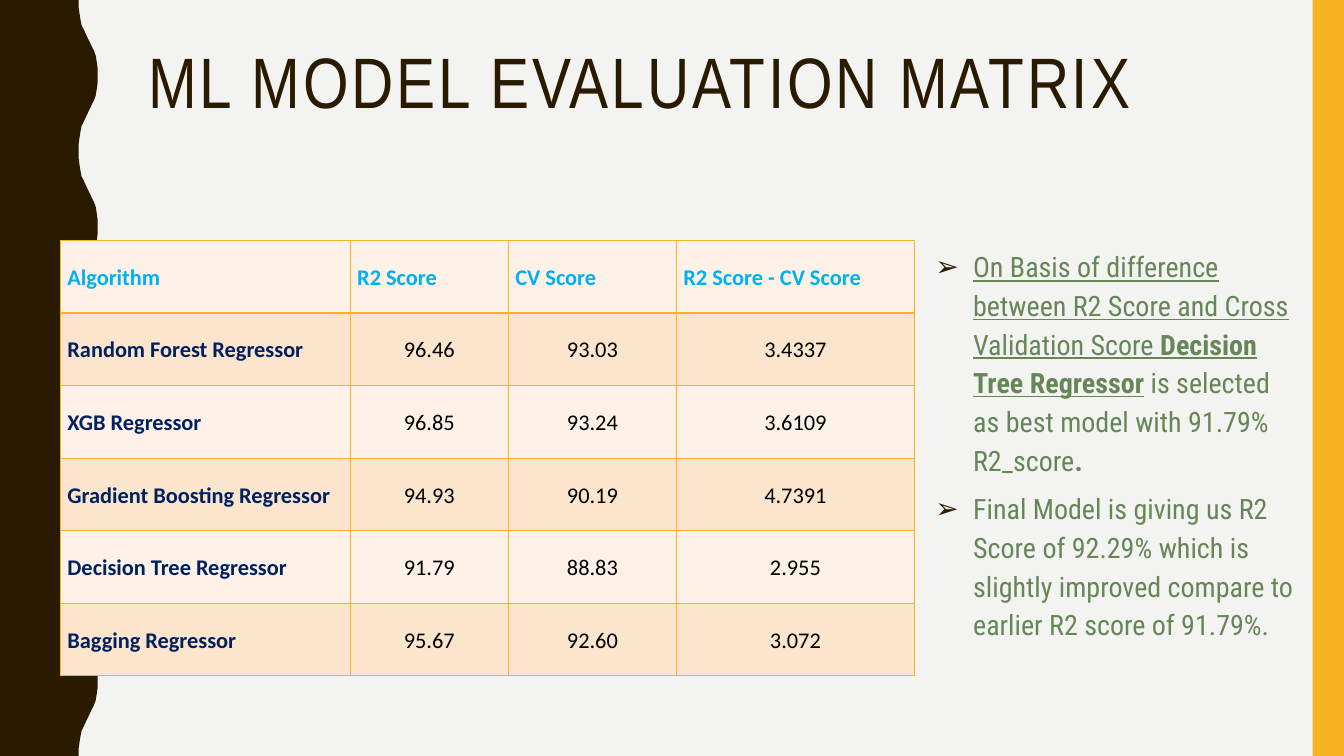
from dataclasses import dataclass

from lxml import etree
from pptx import Presentation
from pptx.dml.color import RGBColor
from pptx.enum.shapes import MSO_SHAPE
from pptx.enum.text import MSO_ANCHOR, MSO_AUTO_SIZE, PP_ALIGN
from pptx.oxml.ns import qn
from pptx.util import Pt

RECTANGLE = MSO_SHAPE.RECTANGLE
TOP, MIDDLE = MSO_ANCHOR.TOP, MSO_ANCHOR.MIDDLE
LEFT, CENTER, JUSTIFY = PP_ALIGN.LEFT, PP_ALIGN.CENTER, PP_ALIGN.JUSTIFY
NO_AUTOFIT = MSO_AUTO_SIZE.NONE
TITLE_ONLY = 5


@dataclass(frozen=True)
class Theme:
    """Colours, fonts and type sizes of the slide."""

    background: str = "F3F3F2"
    dark: str = "2A1A00"
    accent: str = "F8B323"
    note: str = "678658"
    header: str = "00B0F0"
    algorithm: str = "002060"
    score: str = "000000"
    bands: tuple = ("FEF2E8", "FCE5CD")
    title_font: str = "Arial Narrow"
    note_font: str = "Roboto Condensed"
    table_font: str = "Calibri"
    bullet_font: str = "Arial"
    title_size: int = 51
    note_size: int = 20
    table_size: int = 16


THEME = Theme()
WIDTH, HEIGHT = 960, 540
WAVE_PERIOD = 108
WAVE_RISE = [
    (56.2, 0), (56.2, 5), (56.9, 10), (57.6, 14.4), (58.3, 18), (59.8, 21),
    (61.2, 24), (62.6, 27), (64.1, 30), (65.5, 33), (67, 36), (68.4, 39.6),
    (69.1, 44), (69.8, 49), (69.8, 54),
]
COLUMN_WIDTHS = [207, 113, 120, 170]
ROW_HEIGHT = 51.84
SCORES = [
    ("Algorithm", "R2 Score", "CV Score", "R2 Score - CV Score"),
    ("Random Forest Regressor", "96.46", "93.03", "3.4337"),
    ("XGB Regressor", "96.85", "93.24", "3.6109"),
    ("Gradient Boosting Regressor", "94.93", "90.19", "4.7391"),
    ("Decision Tree Regressor", "91.79", "88.83", "2.955"),
    ("Bagging Regressor", "95.67", "92.60", "3.072"),
]
NOTES = [
    [
        ("On Basis of difference between R2 Score and Cross Validation Score ",
         {"underline": True}),
        ("Decision Tree Regressor", {"underline": True, "bold": True}),
        (" is selected as best model with 91.79% R2_score", {}),
        (".", {"bold": True}),
    ],
    [
        ("Final Model is giving us R2 Score of 92.29% which is slightly improved "
         "compare to earlier R2 score of 91.79%.", {}),
    ],
]


def apply(target, values):
    """Set each named attribute of the target."""
    for name, value in values.items():
        setattr(target, name, value)


def fill_solid(fill, color):
    """Give a fill one solid colour."""
    fill.solid()
    fill.fore_color.rgb = RGBColor.from_string(color)


def add_run(paragraph, text, color, **font_values):
    """Add a formatted run to a paragraph."""
    run = paragraph.add_run()
    run.text = text
    apply(run.font, font_values)
    run.font.color.rgb = RGBColor.from_string(color)


def finish_shape(shape, color):
    """Make a shape flat, filled and without outline."""
    shape.shadow.inherit = False
    fill_solid(shape.fill, color)
    shape.line.fill.background()


def add_wave(slide):
    """Draw the wavy band on the left edge."""
    fall = [(x, WAVE_PERIOD - y) for x, y in reversed(WAVE_RISE[:-1])]
    edge = [
        (Pt(x), Pt(y + start))
        for start in range(0, HEIGHT, WAVE_PERIOD)
        for x, y in WAVE_RISE + fall
    ]
    builder = slide.shapes.build_freeform(0, 0)
    builder.add_line_segments(edge + [(0, Pt(HEIGHT))], close=True)
    finish_shape(builder.convert_to_shape(), THEME.dark)


def add_side_bar(slide):
    """Draw the bar on the right edge."""
    left = 937.6
    bar = slide.shapes.add_shape(RECTANGLE, Pt(left), 0, Pt(WIDTH - left), Pt(HEIGHT))
    finish_shape(bar, THEME.accent)


def set_title(slide, text):
    """Place and format the title placeholder."""
    title = slide.shapes.title
    apply(title, {"left": Pt(98.6), "top": Pt(30.2),
                  "width": Pt(801.4), "height": Pt(117.4)})
    apply(title.text_frame, {"vertical_anchor": TOP, "word_wrap": True,
                             "auto_size": NO_AUTOFIT})
    paragraph = title.text_frame.paragraphs[0]
    apply(paragraph, {"alignment": LEFT, "line_spacing": 0.9})
    add_run(paragraph, text, THEME.dark,
            name=THEME.title_font, size=Pt(THEME.title_size))
    for properties in title.element.iter(qn("a:rPr")):
        properties.set("spc", "200")


def add_bullet(properties):
    """Add an arrowhead bullet to paragraph properties."""
    color = etree.SubElement(properties, qn("a:buClr"))
    etree.SubElement(color, qn("a:srgbClr"), val=THEME.dark)
    etree.SubElement(properties, qn("a:buFont"), typeface=THEME.bullet_font)
    etree.SubElement(properties, qn("a:buChar"), char="➢")
    indent = Pt(27)
    properties.set("marL", str(indent))
    properties.set("indent", str(-indent))


def add_notes(slide, notes):
    """Add the bulleted conclusions beside the table."""
    box = slide.shapes.add_textbox(Pt(661), Pt(171.4), Pt(272.2), Pt(313.2))
    frame = box.text_frame
    apply(frame, {"word_wrap": True, "vertical_anchor": TOP, "auto_size": NO_AUTOFIT})
    for index, runs in enumerate(notes):
        paragraph = frame.add_paragraph() if index else frame.paragraphs[0]
        apply(paragraph, {"alignment": LEFT, "line_spacing": 1.15,
                          "space_before": Pt(7)})
        for text, emphasis in runs:
            add_run(paragraph, text, THEME.note, name=THEME.note_font,
                    size=Pt(THEME.note_size), **emphasis)
    for properties in box.element.iter(qn("a:pPr")):
        add_bullet(properties)


def add_borders(properties):
    """Put a thin line on every side of a cell."""
    for position, side in enumerate(("a:lnL", "a:lnR", "a:lnT", "a:lnB")):
        line = etree.Element(qn(side), w=str(Pt(1)))
        fill = etree.SubElement(line, qn("a:solidFill"))
        etree.SubElement(fill, qn("a:srgbClr"), val=THEME.accent)
        properties.insert(position, line)


def fill_cell(cell, text, color, alignment, bold, band):
    """Write and format one table cell."""
    apply(cell, {"vertical_anchor": MIDDLE, "margin_left": Pt(5),
                 "margin_right": Pt(5), "margin_top": 0, "margin_bottom": 0})
    fill_solid(cell.fill, band)
    paragraph = cell.text_frame.paragraphs[0]
    apply(paragraph, {"alignment": alignment, "line_spacing": 1.07,
                      "space_after": Pt(8)})
    add_run(paragraph, text, color, name=THEME.table_font,
            size=Pt(THEME.table_size), bold=bold)


def add_score_table(slide, rows):
    """Add the table of model scores."""
    frame = slide.shapes.add_table(
        len(rows), len(COLUMN_WIDTHS), Pt(43.2), Pt(171.8),
        Pt(sum(COLUMN_WIDTHS)), Pt(ROW_HEIGHT * len(rows)))
    table = frame.table
    apply(table, {"first_row": False, "horz_banding": False})
    for column, width in zip(table.columns, COLUMN_WIDTHS):
        column.width = Pt(width)
    for row_index, values in enumerate(rows):
        table.rows[row_index].height = Pt(ROW_HEIGHT)
        band = THEME.bands[row_index % 2]
        for column_index, text in enumerate(values):
            if row_index == 0:
                style = (THEME.header, JUSTIFY, True)
            elif column_index == 0:
                style = (THEME.algorithm, LEFT, True)
            else:
                style = (THEME.score, CENTER, False)
            fill_cell(table.cell(row_index, column_index), text, *style, band)
    for properties in frame.element.iter(qn("a:tcPr")):
        add_borders(properties)


def main():
    """Build and save the slide."""
    presentation = Presentation()
    apply(presentation, {"slide_width": Pt(WIDTH), "slide_height": Pt(HEIGHT)})
    slide = presentation.slides.add_slide(presentation.slide_layouts[TITLE_ONLY])
    fill_solid(slide.background.fill, THEME.background)
    add_wave(slide)
    add_side_bar(slide)
    set_title(slide, "ML MODEL EVALUATION MATRIX")
    add_notes(slide, NOTES)
    add_score_table(slide, SCORES)
    presentation.save("out.pptx")


if __name__ == "__main__":
    main()
